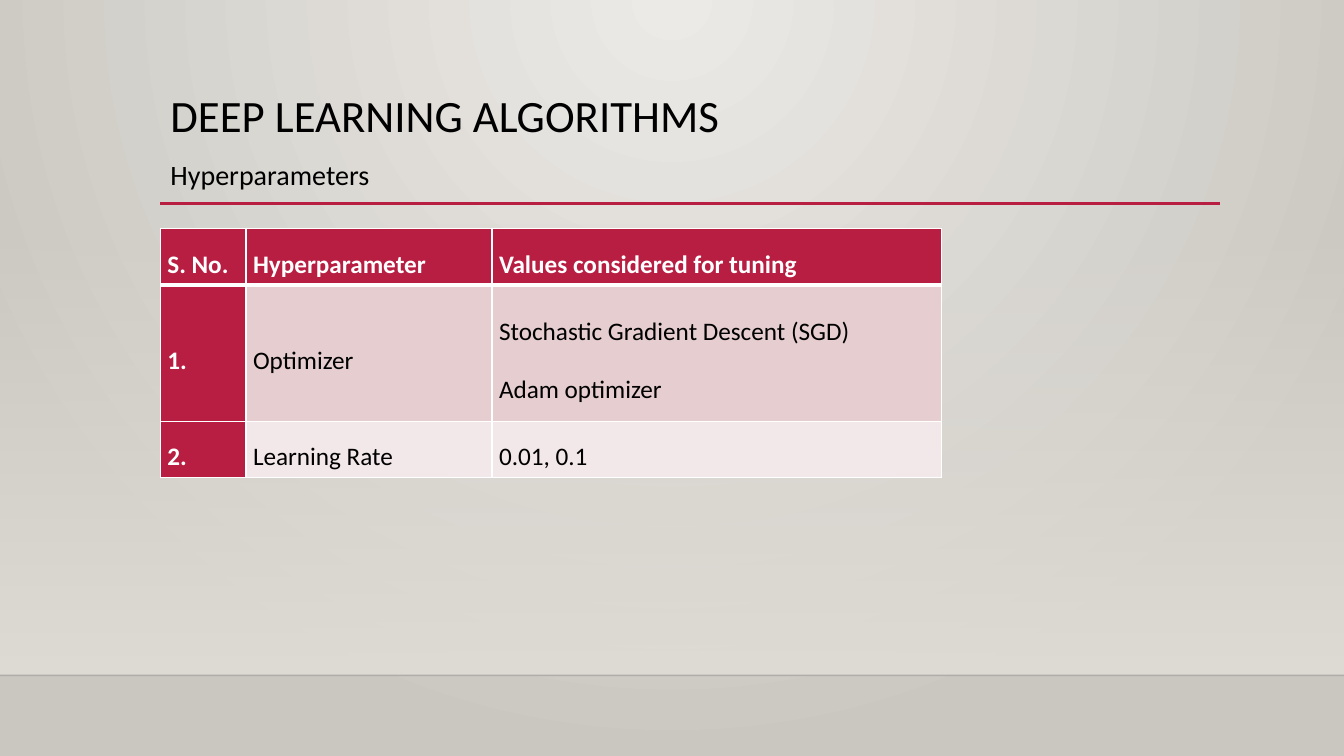
import dataclasses
import lxml.etree
import pptx
import pptx.dml.color
import pptx.enum.shapes
import pptx.enum.text
import pptx.oxml.ns
import pptx.util

Inches = pptx.util.Inches
Pt = pptx.util.Pt
ALIGN = pptx.enum.text.PP_ALIGN
ANCHOR = pptx.enum.text.MSO_ANCHOR


@dataclasses.dataclass
class Theme:
    font: str = "Calibri"
    ink: str = "000000"
    edge: str = "000001"
    white: str = "FFFFFF"
    red: str = "B71E42"
    bands: tuple = ("E6CDCF", "F3E8E9")
    glow: tuple = ("ECEAE7", "CAC7C1")
    wall: str = "DFDBD5"
    title: int = 32
    body: int = 20
    cell: int = 18


def color(code):
    return pptx.dml.color.RGBColor.from_string(code)


def add(parent, tag, **attrs):
    return lxml.etree.SubElement(parent, pptx.oxml.ns.qn(tag), **attrs)


def find(root, tag):
    return next(root.iter(pptx.oxml.ns.qn(tag)))


class Page:
    def __init__(self, slide, theme):
        self.slide = slide
        self.theme = theme

    def blend(self, fill, codes):
        fill.gradient()
        for stop, code in zip(fill.gradient_stops, codes):
            stop.color.rgb = color(code)

    def back(self):
        self.blend(self.slide.background.fill, self.theme.glow)
        grad = find(self.slide.element, "a:gradFill")
        grad.remove(find(grad, "a:lin"))
        shade = add(grad, "a:path", path="circle")
        add(shade, "a:fillToRect", l="43000", t="0", r="43000", b="100000")

    def wall(self, *box):
        kind = pptx.enum.shapes.MSO_SHAPE.RECTANGLE
        shape = self.slide.shapes.add_shape(kind, *map(Inches, box))
        shape.shadow.inherit = False
        shape.line.fill.background()
        self.blend(shape.fill, [self.theme.wall] * 2)
        shape.fill.gradient_angle = 270
        add(find(shape.element, "a:srgbClr"), "a:alpha", val="0")

    def rule(self, left, right, top, code, width, alpha=100):
        kind = pptx.enum.shapes.MSO_CONNECTOR.STRAIGHT
        ends = map(Inches, (left, top, right, top))
        line = self.slide.shapes.add_connector(kind, *ends)
        line.line.color.rgb = color(code)
        line.line.width = Pt(width)
        if alpha < 100:
            add(find(line.element, "a:srgbClr"), "a:alpha", val=str(alpha * 1000))
        add(find(line.element, "p:spPr"), "a:effectLst")

    def style(self, para, size, code, space, bold=False):
        para.font.name = self.theme.font
        para.font.size = Pt(size)
        para.font.bold = bold
        para.font.color.rgb = color(code)
        para.line_spacing = space

    def holder(self, index, text, box, size, space, before, align):
        shape = self.slide.placeholders[index]
        shape.left, shape.top, shape.width, shape.height = map(Inches, box)
        frame = shape.text_frame
        frame.text = text
        frame.word_wrap = True
        frame.auto_size = pptx.enum.text.MSO_AUTO_SIZE.NONE
        frame.vertical_anchor = ANCHOR.TOP
        para = frame.paragraphs[0]
        self.style(para, size, self.theme.ink, space)
        para.alignment = align
        para.space_before = Pt(before)
        props = find(shape.element, "a:pPr")
        props.set("marL", "0")
        props.set("indent", "0")
        if props.find(pptx.oxml.ns.qn("a:buNone")) is None:
            mark = add(props, "a:buNone")
            find(props, "a:defRPr").addprevious(mark)

    def border(self, cell, side, width):
        props = cell._tc.get_or_add_tcPr()
        line = add(props, "a:ln" + side, w=str(Pt(width)))
        fill = add(line, "a:solidFill")
        add(fill, "a:srgbClr", val=self.theme.white)

    def cell(self, cell, text, row, col):
        head = row == 0 or col == 0
        cell.text = text
        cell.vertical_anchor = ANCHOR.MIDDLE
        cell.margin_left = cell.margin_right = Inches(0.07)
        cell.margin_top = cell.margin_bottom = 0
        for para in cell.text_frame.paragraphs:
            ink = self.theme.white if head else self.theme.ink
            self.style(para, self.theme.cell, ink, 1.5, head)
            para.space_after = Pt(8)
        for side in "LRTB":
            thick = (row, side) in ((0, "B"), (1, "T"))
            self.border(cell, side, 3 if thick else 1)
        cell.fill.solid()
        code = self.theme.red if head else self.theme.bands[(row - 1) % 2]
        cell.fill.fore_color.rgb = color(code)

    def table(self, left, top, cols, rows, data):
        box = map(Inches, (left, top, sum(cols), sum(rows)))
        grid = self.slide.shapes.add_table(len(rows), len(cols), *box).table
        grid.horz_banding = False
        for col, width in zip(grid.columns, cols):
            col.width = Inches(width)
        for row, height in zip(grid.rows, rows):
            row.height = Inches(height)
        for i, line in enumerate(data):
            for j, text in enumerate(line):
                self.cell(grid.cell(i, j), text, i, j)


def main():
    deck = pptx.Presentation()
    deck.slide_width = Inches(13.33)
    deck.slide_height = Inches(7.5)
    theme = Theme()
    page = Page(deck.slides.add_slide(deck.slide_layouts[1]), theme)
    left = 1.59
    floor = 6.7
    page.back()
    page.wall(0, 2.21, 13.33, floor - 2.21)
    page.rule(0, 13.33, floor, theme.edge, 1, 20)
    page.rule(left, 12.1, 2.02, theme.red, 2.5)
    page.holder(0, "DEEP LEARNING ALGORITHMS", (left, 0.88, 10.5, 1.15),
                theme.title, 0.9, 0, ALIGN.LEFT)
    page.holder(1, "Hyperparameters", (left, 1.45, 2.92, 0.81),
                theme.body, 1.2, 10, ALIGN.JUSTIFY)
    page.table(left, 2.27, (0.85, 2.44, 4.46), (0.56, 1.35, 0.56), (
        ("S. No.", "Hyperparameter", "Values considered for tuning"),
        ("1.", "Optimizer", "Stochastic Gradient Descent (SGD)\nAdam optimizer"),
        ("2.", "Learning Rate", "0.01, 0.1"),
    ))
    tree = page.slide.shapes.element
    for shape in list(page.slide.placeholders):
        tree.remove(shape.element)
        tree.append(shape.element)
    deck.save("out.pptx")


if __name__ == "__main__":
    main()
